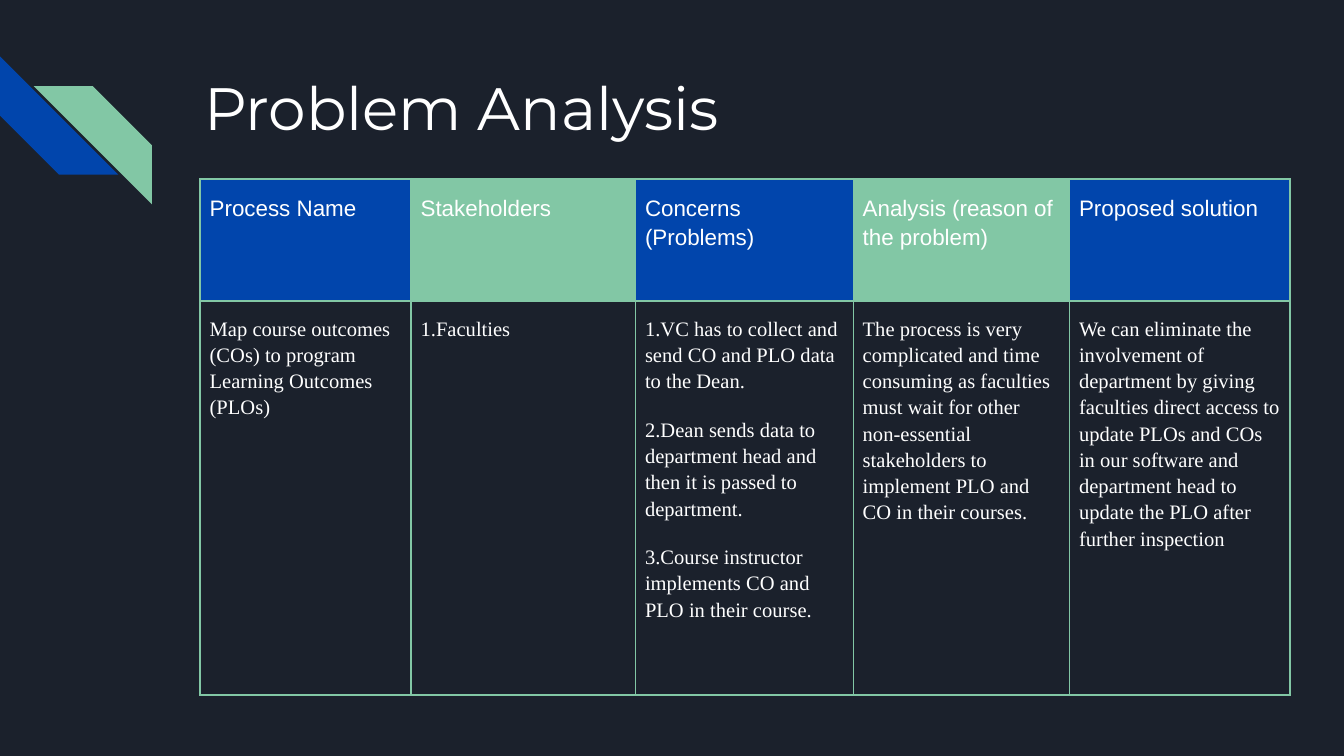
"""Build the Problem Analysis slide with its five-column table."""
from lxml import etree
from pptx import Presentation
from pptx.dml.color import RGBColor
from pptx.enum.shapes import MSO_SHAPE
from pptx.oxml.ns import qn
from pptx.util import Inches, Pt

STRIPE = MSO_SHAPE.DIAGONAL_STRIPE

THEME = {
    "background": "1B212C", "blue": "0145AC", "green": "82C7A5", "white": "FFFFFF",
    "title": {"font": "Montserrat", "size": 32},
    "header": {"font": "Arial", "size": 12},
    "body": {"font": "Times New Roman", "size": 11},
}
TITLE = "Problem Analysis"
COLUMNS = [
    ("Process Name", 1.57,
     ["Map course outcomes (COs) to program Learning Outcomes (PLOs)"]),
    ("Stakeholders", 1.67, ["1.Faculties"]),
    ("Concerns (Problems)", 1.62,
     ["1.VC has to collect and send CO and PLO data to the Dean.",
      "2.Dean sends data to department head and then it is passed to department.",
      "3.Course instructor implements CO and PLO in their course."]),
    ("Analysis (reason of the problem)", 1.61,
     ["The process is very complicated and time consuming as faculties must wait "
      "for other non-essential stakeholders to implement PLO and CO in their courses."]),
    ("Proposed solution", 1.64,
     ["We can eliminate the involvement of department by giving faculties direct "
      "access to update PLOs and COs in our software and department head to update "
      "the PLO after further inspection"]),
]
ROW_HEIGHTS = [0.91, 2.93]
STRIPES = [(0, 0.42, 270, "blue"), (0.25, 0.64, 90, "green")]
STRIPE_SIZE = 0.88


def color(name):
    """Return a theme colour."""
    return RGBColor.from_string(THEME[name])


def write(frame, paragraphs, *, font, size, line_spacing=None, space_before=None):
    """Fill a text frame with formatted paragraphs."""
    frame.word_wrap = True
    for index, text in enumerate(paragraphs):
        paragraph = frame.add_paragraph() if index else frame.paragraphs[0]
        if line_spacing:
            paragraph.line_spacing = line_spacing
        if space_before:
            paragraph.space_before = Pt(space_before)
        run = paragraph.add_run()
        run.text = text
        run.font.name = font
        run.font.size = Pt(size)
        run.font.color.rgb = color("white")


def add_stripe(slide, left, top, rotation, fill):
    """Add one diagonal stripe."""
    stripe = slide.shapes.add_shape(
        STRIPE, Inches(left), Inches(top), Inches(STRIPE_SIZE), Inches(STRIPE_SIZE))
    stripe.rotation = rotation
    stripe.shadow.inherit = False
    stripe.fill.solid()
    stripe.fill.fore_color.rgb = color(fill)
    stripe.line.fill.background()


def add_title(slide):
    """Add the slide title."""
    box = slide.shapes.add_textbox(Inches(1.42), Inches(0.43), Inches(7.7), Inches(1))
    frame = box.text_frame
    frame.margin_left = frame.margin_right = Inches(0.1)
    frame.margin_top = frame.margin_bottom = Inches(0.1)
    write(frame, [TITLE], **THEME["title"])


def draw_borders(cell):
    """Outline all four sides of a cell."""
    properties = cell._tc.get_or_add_tcPr()
    for side in ("lnL", "lnR", "lnT", "lnB"):
        line = etree.SubElement(properties, qn(f"a:{side}"), w=str(Pt(1)))
        fill = etree.SubElement(line, qn("a:solidFill"))
        etree.SubElement(fill, qn("a:srgbClr"), val=THEME["green"])


def fill_cell(cell, paragraphs, style, fill=None):
    """Set the borders, fill, margins and text of a cell."""
    draw_borders(cell)
    if fill:
        cell.fill.solid()
        cell.fill.fore_color.rgb = color(fill)
    else:
        cell.fill.background()
    cell.margin_left = cell.margin_right = Inches(0.07)
    cell.margin_top = cell.margin_bottom = Inches(0.1)
    write(cell.text_frame, paragraphs, line_spacing=1.15, space_before=12, **THEME[style])


def add_analysis_table(slide):
    """Add the analysis table."""
    total_width = sum(width for _, width, _ in COLUMNS)
    table = slide.shapes.add_table(
        len(ROW_HEIGHTS), len(COLUMNS), Inches(1.49), Inches(1.33),
        Inches(total_width), Inches(sum(ROW_HEIGHTS))).table
    table.first_row = table.horz_banding = False
    for row, height in zip(table.rows, ROW_HEIGHTS):
        row.height = Inches(height)
    for index, (heading, width, details) in enumerate(COLUMNS):
        table.columns[index].width = Inches(width)
        fill_cell(table.cell(0, index), [heading], "header", ("blue", "green")[index % 2])
        fill_cell(table.cell(1, index), details, "body")


def main():
    """Assemble and save the slide."""
    deck = Presentation()
    deck.slide_width = Inches(10)
    deck.slide_height = Inches(10 * 9 / 16)
    slide = deck.slides.add_slide(deck.slide_layouts[6])
    slide.background.fill.solid()
    slide.background.fill.fore_color.rgb = color("background")
    for stripe in STRIPES:
        add_stripe(slide, *stripe)
    add_title(slide)
    add_analysis_table(slide)
    deck.save("out.pptx")


if __name__ == "__main__":
    main()
